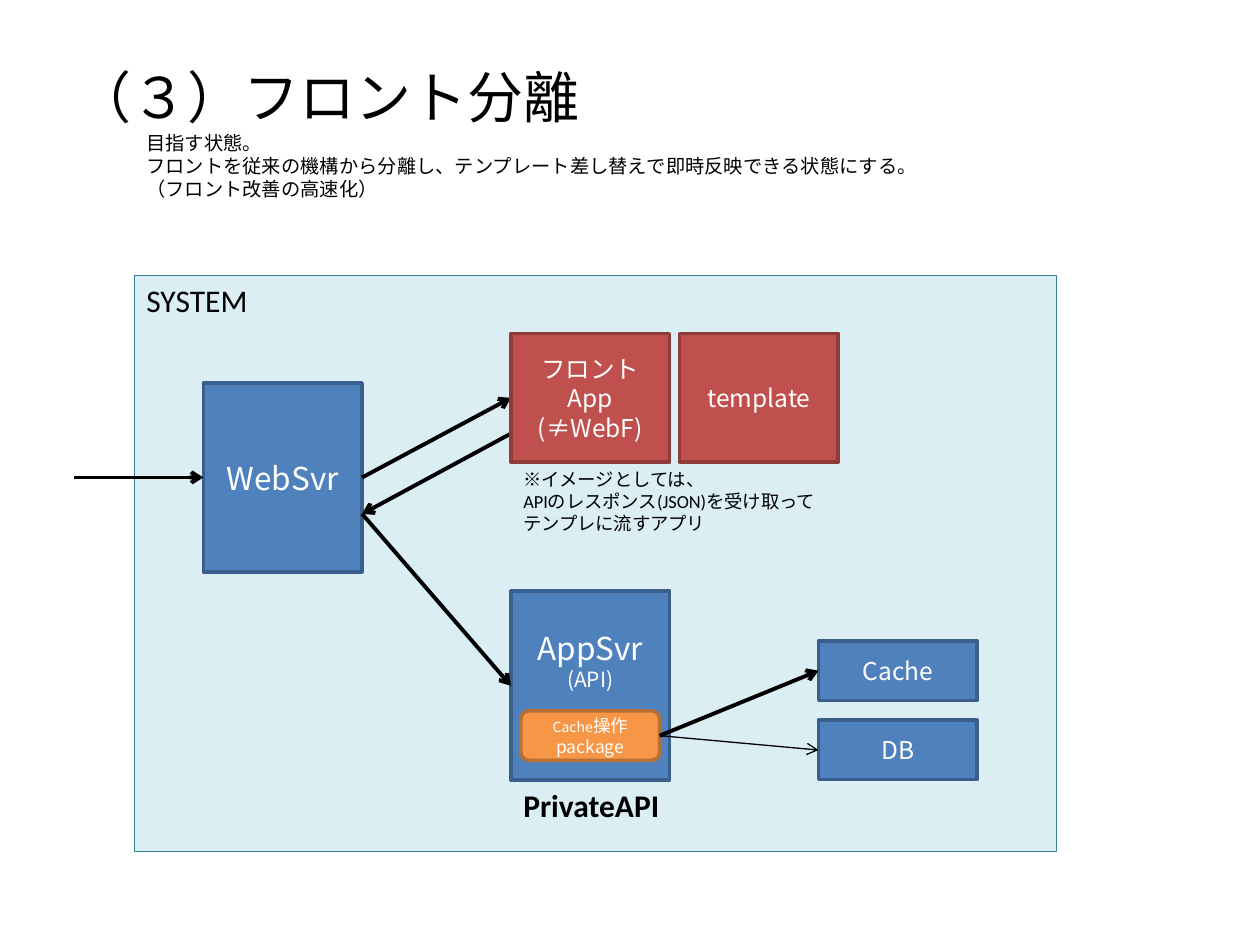
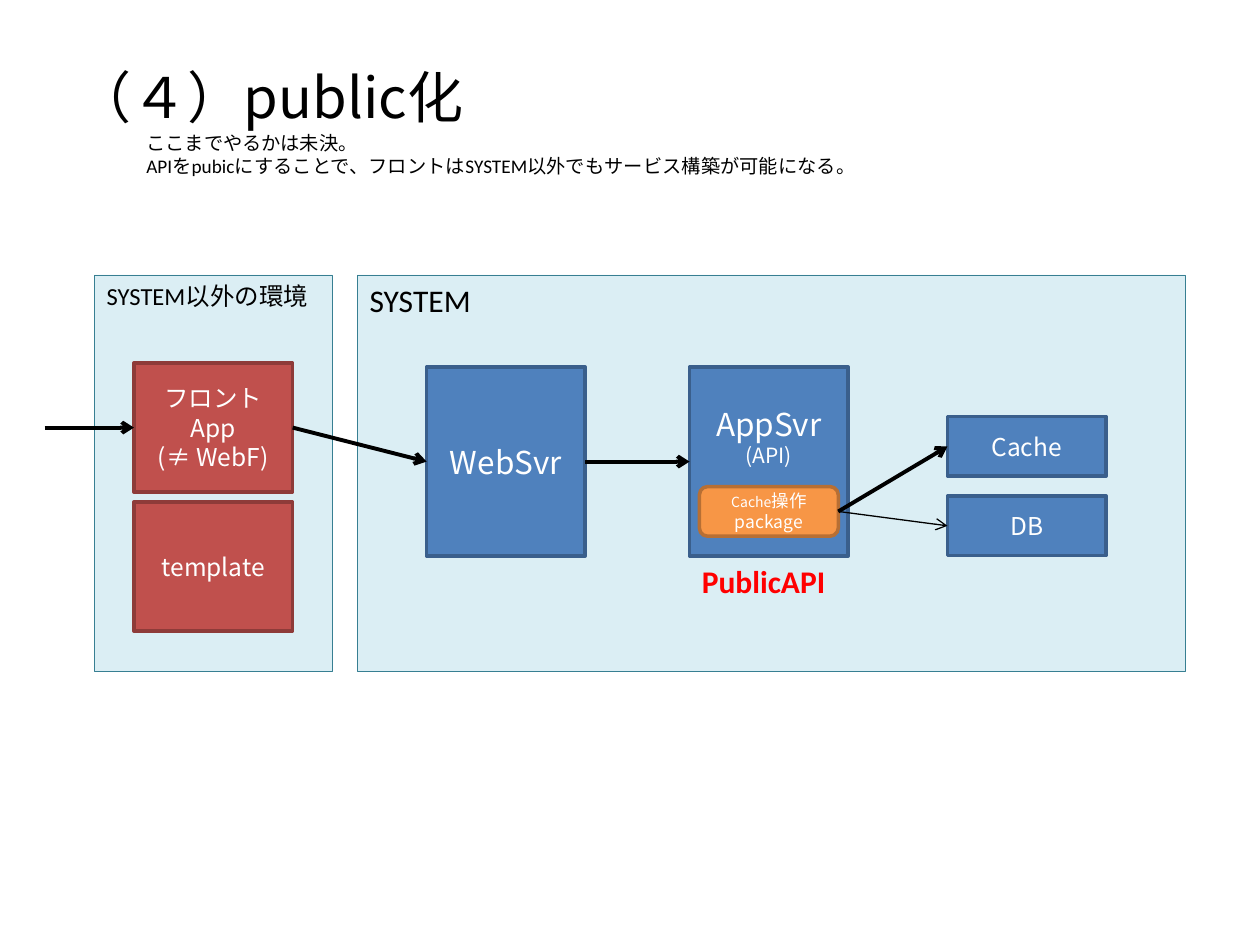
from lxml.etree import SubElement
from pptx import Presentation
from pptx.dml.color import RGBColor
from pptx.enum.shapes import MSO_CONNECTOR as Connector, MSO_SHAPE as Shape
from pptx.enum.text import MSO_ANCHOR as Anchor, MSO_AUTO_SIZE as AutoSize, PP_ALIGN as Align
from pptx.oxml.ns import qn
from pptx.util import Cm, Pt

BLACK = RGBColor(0x00, 0x00, 0x00)
WHITE = RGBColor(0xFF, 0xFF, 0xFF)
RED = RGBColor(0xFF, 0x00, 0x00)
PANEL = (RGBColor(0xDB, 0xEE, 0xF4), RGBColor(0x37, 0x7F, 0x92))
SERVER = (RGBColor(0x4F, 0x81, 0xBD), RGBColor(0x3A, 0x5F, 0x8C))
FRONT = (RGBColor(0xC0, 0x50, 0x4D), RGBColor(0x8E, 0x3B, 0x39))
PACKAGE = (RGBColor(0xF7, 0x96, 0x46), RGBColor(0xB7, 0x6F, 0x34))

LATIN = "Calibri"
CJK = "Noto Sans CJK JP"
PANEL_TOP = 5.54
BOX_WIDTH = 3.2
SERVER_HEIGHT = 3.81
STORE_HEIGHT = 1.2
STORE_PITCH = 1.6
FRONT_HEIGHT = 2.6
API_SPACE = 1.15

PLAIN = {"size": 11, "name": LATIN, "color": BLACK, "bold": False}
NOTE = PLAIN | {"size": 10.5}
PANEL_NAME = PLAIN | {"size": 18}
API_NAME = PANEL_NAME | {"bold": True}
TITLE = PLAIN | {"size": 32, "name": CJK}
BOX = {"size": 14, "name": CJK, "color": WHITE, "bold": False}
CENTRED = {"vertical_anchor": Anchor.MIDDLE, "word_wrap": True}
TOP = {"vertical_anchor": Anchor.TOP, "word_wrap": True}


def apply_format(target, values):
    """Set each named attribute of the target."""
    for attribute, value in values.items():
        setattr(target, attribute, value)


def add_run(paragraph, text, style):
    """Append one run with its Latin and East Asian fonts."""
    run = paragraph.add_run()
    run.text = text
    apply_format(run.font, {"size": Pt(style["size"]), "name": style["name"],
                            "bold": style["bold"]})
    run.font.color.rgb = style["color"]
    SubElement(run.font._element, qn("a:ea"), typeface=CJK)


def write(frame, lines, style, align=Align.LEFT, layout=TOP):
    """Fill a frame with lines, each a string or a list of (text, size) runs."""
    apply_format(frame, layout)
    for index, line in enumerate(lines):
        paragraph = frame.add_paragraph() if index else frame.paragraphs[0]
        paragraph.alignment = align
        runs = [(line, style["size"])] if isinstance(line, str) else line
        for text, size in runs:
            add_run(paragraph, text, style | {"size": size})


def add_titled_slide(deck, title, lead):
    """Add a slide with its title and the lead text under it."""
    slide = deck.slides.add_slide(deck.slide_layouts[5])
    heading = slide.shapes.title
    apply_format(heading, {"left": Cm(1.27), "top": Cm(0.76),
                           "width": Cm(22.86), "height": Cm(2.36)})
    write(heading.text_frame, [title], TITLE,
          layout=CENTRED | {"auto_size": AutoSize.NONE})
    add_text(slide, (2.7, 2.52, 20, 0.56 * len(lead)), lead, PLAIN)
    return slide


def add_text(slide, area, lines, style):
    """Add free text in an area of left, top, width and height."""
    text = slide.shapes.add_textbox(*map(Cm, area))
    write(text.text_frame, lines, style)


def add_block(slide, area, colors, lines, style=BOX, outline=2,
              outer=Shape.RECTANGLE, align=Align.CENTER, layout=CENTRED):
    """Add a filled and outlined block with its text."""
    block = slide.shapes.add_shape(outer, *map(Cm, area))
    block.shadow.inherit = False
    block.fill.solid()
    block.fill.fore_color.rgb, block.line.color.rgb = colors
    block.line.width = Pt(outline)
    write(block.text_frame, lines, style, align, layout)


def add_panel(slide, left, width, height, name, size=18):
    """Add the pale area of one environment."""
    add_block(slide, (left, PANEL_TOP, width, height), PANEL, [name],
              PANEL_NAME | {"size": size}, 0.25, align=Align.LEFT, layout=TOP)


def add_arrow(slide, start, end, weight=2.25):
    """Add a black arrow pointing at its end."""
    points = [Cm(value) for value in (*start, *end)]
    arrow = slide.shapes.add_connector(Connector.STRAIGHT, *points)
    arrow.line.color.rgb = BLACK
    arrow.line.width = Pt(weight)
    SubElement(arrow.line._get_or_add_ln(), qn("a:tailEnd"), type="arrow")
    SubElement(arrow._element.spPr, qn("a:effectLst"))


def add_web_server(slide, left, top):
    """Add the web server block."""
    add_block(slide, (left, top, BOX_WIDTH, SERVER_HEIGHT), SERVER,
              ["WebSvr"], BOX | {"size": 18})


def add_front(slide, left, top, step, app_lines):
    """Add the front app and its template, one step apart."""
    for index, lines in enumerate((app_lines, ["template"])):
        corner = (left + index * step[0], top + index * step[1])
        add_block(slide, (*corner, BOX_WIDTH, FRONT_HEIGHT), FRONT, lines)


def add_api(slide, left, top, store_left, name, name_color):
    """Add the API server with its package, stores, arrows and name."""
    add_block(slide, (left, top, BOX_WIDTH, SERVER_HEIGHT), SERVER,
              [[("AppSvr", 18)], [("(API)", 12)]],
              layout=CENTRED | {"margin_bottom": Cm(API_SPACE)})
    add_block(slide, (left + 0.2, top + 2.41, 2.8, 1), PACKAGE,
              [[("Cache", 8), ("操作", 10)], "package"], BOX | {"size": 10},
              outer=Shape.ROUNDED_RECTANGLE)
    for index, (store, weight) in enumerate((("Cache", 2.25), ("DB", 0.75))):
        store_top = top + 1 + index * STORE_PITCH
        add_block(slide, (store_left, store_top, BOX_WIDTH, STORE_HEIGHT),
                  SERVER, [store])
        add_arrow(slide, (left + 3, top + 2.91),
                  (store_left, store_top + STORE_HEIGHT / 2), weight)
    add_text(slide, (left, top + SERVER_HEIGHT, 3.8, 1.02), [name],
             API_NAME | {"color": name_color})


def build_front_separation(deck):
    """Build the slide on separating the front."""
    slide = add_titled_slide(deck, "（３）フロント分離", [
        "目指す状態。",
        "フロントを従来の機構から分離し、テンプレート差し替えで即時反映できる状態にする。",
        "（フロント改善の高速化）"])
    web_left, web_top, app_left, app_top, api_top = 4.1, 7.72, 10.3, 6.72, 11.92
    web_right = web_left + BOX_WIDTH
    web_middle = web_top + SERVER_HEIGHT / 2
    return_point = (web_right, 10.36)
    add_panel(slide, 2.7, 18.59, 11.63, "SYSTEM")
    add_web_server(slide, web_left, web_top)
    add_api(slide, app_left, api_top, 16.5, "PrivateAPI", BLACK)
    add_arrow(slide, (1.5, web_middle), (web_left, web_middle))
    add_arrow(slide, (web_right, web_middle),
              (app_left, app_top + FRONT_HEIGHT / 2))
    add_arrow(slide, (app_left, 8.74), return_point)
    add_arrow(slide, return_point, (app_left, api_top + SERVER_HEIGHT / 2))
    add_front(slide, app_left, app_top, (3.4, 0),
              ["フロント", "App", "(≠WebF)"])
    add_text(slide, (app_left, app_top + FRONT_HEIGHT, 7, 1.6), [
        "※イメージとしては、",
        "APIのレスポンス(JSON)を受け取って",
        "テンプレに流すアプリ"], NOTE)


def build_public_api(deck):
    """Build the slide on making the API public."""
    slide = add_titled_slide(deck, "（４）public化", [
        "ここまでやるかは未決。",
        "APIをpubicにすることで、フロントはSYSTEM以外でもサービス構築が可能になる。"])
    app_left, app_top, web_left, api_left, server_top = 2.7, 7.32, 8.6, 13.9, 7.4
    app_middle = app_top + FRONT_HEIGHT / 2
    server_middle = server_top + SERVER_HEIGHT / 2
    add_panel(slide, 1.9, 4.8, 8, "SYSTEM以外の環境", 14)
    add_front(slide, app_left, app_top, (0, 2.8),
              ["フロント", "App", "(≠ WebF)"])
    add_panel(slide, 7.2, 16.7, 8, "SYSTEM")
    add_web_server(slide, web_left, server_top)
    add_api(slide, api_left, server_top, 19.1, "PublicAPI", RED)
    add_arrow(slide, (0.9, app_middle), (app_left, app_middle))
    add_arrow(slide, (app_left + BOX_WIDTH, app_middle),
              (web_left, server_middle))
    add_arrow(slide, (web_left + BOX_WIDTH, server_middle),
              (api_left, server_middle))


def main():
    """Build and save the deck."""
    deck = Presentation()
    apply_format(deck, {"slide_width": Cm(25.4), "slide_height": Cm(19.05)})
    build_front_separation(deck)
    build_public_api(deck)
    deck.save("out.pptx")


main()
